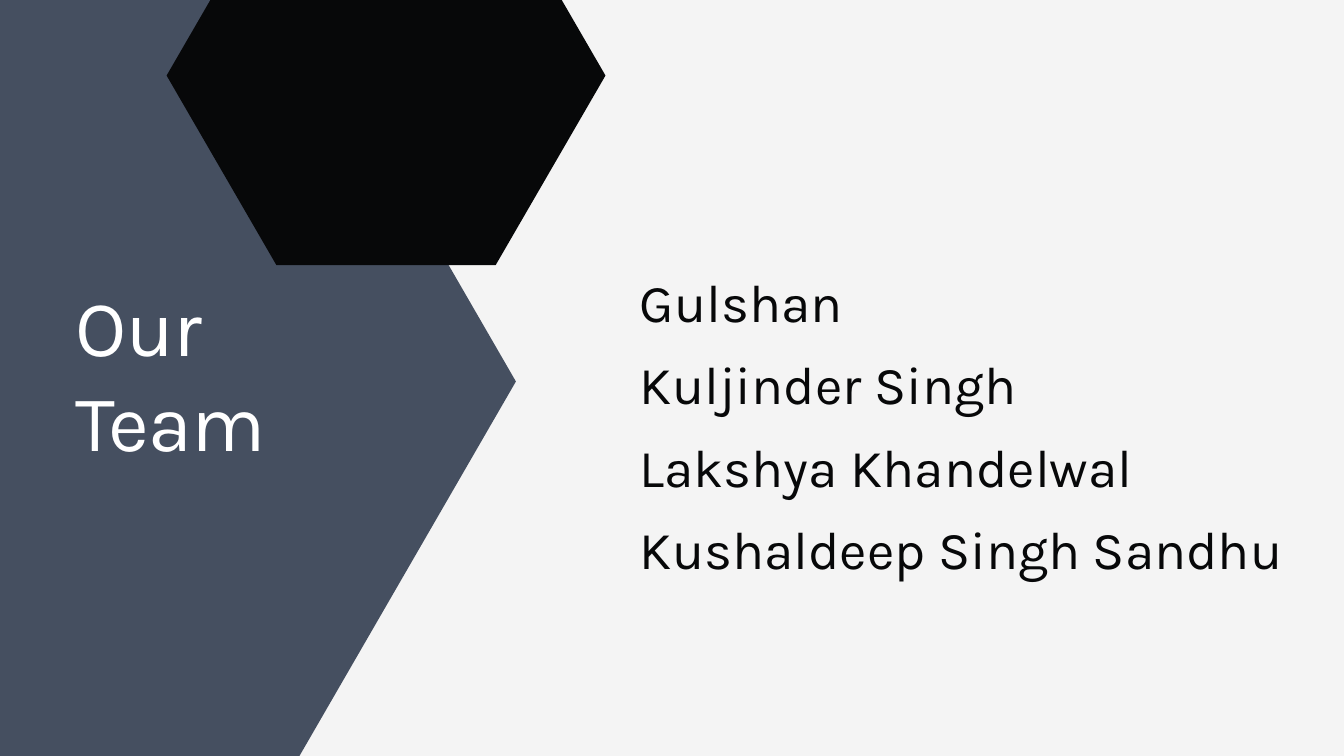
from pptx import Presentation
from pptx.dml.color import RGBColor
from pptx.enum.text import MSO_ANCHOR, MSO_AUTO_SIZE, PP_ALIGN
from pptx.util import Pt

TOP = MSO_ANCHOR.TOP
LEFT = PP_ALIGN.LEFT
NO_FIT = MSO_AUTO_SIZE.NONE

FONT = "Karla"
SLATE, INK, WHITE, PAPER = "454F60", "070809", "FFFFFF", "F4F4F4"
NAMES = ["Gulshan", "Kuljinder Singh", "Lakshya Khandelwal",
         "Kushaldeep Singh Sandhu"]


def px(n):
    """Turn px (96 to the inch) into EMU."""
    return n * 9525


def paint(fill, color):
    fill.solid()
    fill.fore_color.rgb = RGBColor.from_string(color)


def add_hex(slide, x, y, w, h, color):
    """Draw a flat-topped hexagon that fills the given box."""
    near, far = x + w / 4, x + w * 3 / 4
    mid, low = y + h / 2, y + h
    pen = slide.shapes.build_freeform(x + w, mid, scale=px(1))
    pen.add_line_segments([(far, low), (near, low), (x, mid),
                           (near, y), (far, y)], close=True)
    shape = pen.convert_to_shape()
    shape.shadow.inherit = False
    shape.line.fill.background()
    paint(shape.fill, color)


def set_text(shape, text, size, lead, color, track=0):
    """Fill a box with one run; track is in hundredths of a point."""
    frame = shape.text_frame
    frame.margin_left = frame.margin_right = 0
    frame.margin_top = frame.margin_bottom = 0
    frame.word_wrap = True
    frame.auto_size = NO_FIT
    frame.vertical_anchor = TOP
    para = frame.paragraphs[0]
    para.alignment = LEFT
    para.line_spacing = Pt(lead)
    para.space_before = para.space_after = Pt(0)
    run = para.add_run()
    run.text = text
    run.font.name = FONT
    run.font.size = Pt(size)
    run.font.color.rgb = RGBColor.from_string(color)
    if track:
        run._r.get_or_add_rPr().set("spc", str(track))


def add_title(slide, text):
    title = slide.shapes.title
    title.left, title.top = px(108), px(396)
    title.width, title.height = px(468), px(270)
    set_text(title, text, 85, 102, WHITE, track=-80)
    # Bring the title in front of the hexagons.
    slide.shapes._spTree.append(title._element)


def add_names(slide, names):
    for i, name in enumerate(names):
        box = slide.shapes.add_textbox(px(914), px(369 + 118 * i),
                                       px(1307), px(101))
        set_text(box, name, 57, 79.8, INK)


def main():
    prs = Presentation()
    prs.slide_width, prs.slide_height = px(1920), px(1080)
    slide = prs.slides.add_slide(prs.slide_layouts[5])
    paint(slide.background.fill, PAPER)
    add_hex(slide, -521, 0, 1258, 1090, SLATE)
    add_hex(slide, 238, -163, 627, 542, INK)
    add_title(slide, "Our Team")
    add_names(slide, NAMES)
    prs.save("out.pptx")


if __name__ == "__main__":
    main()
